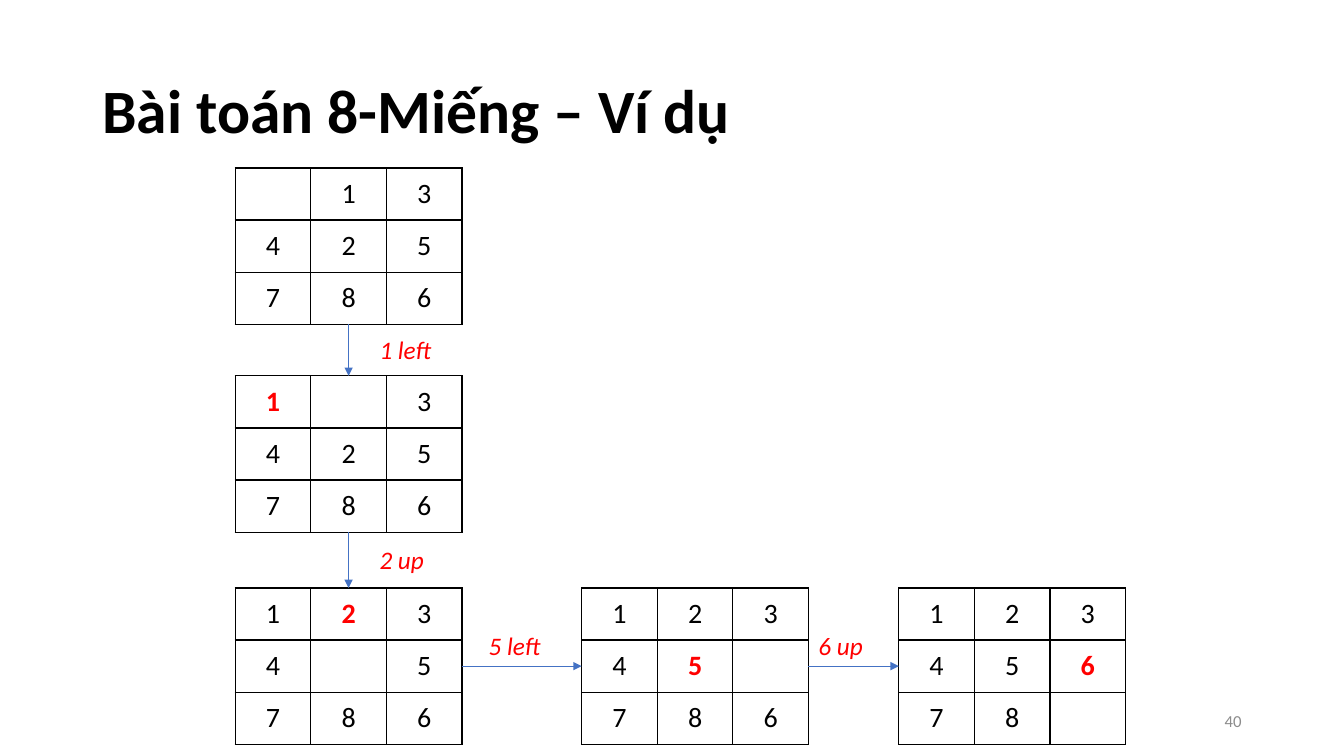
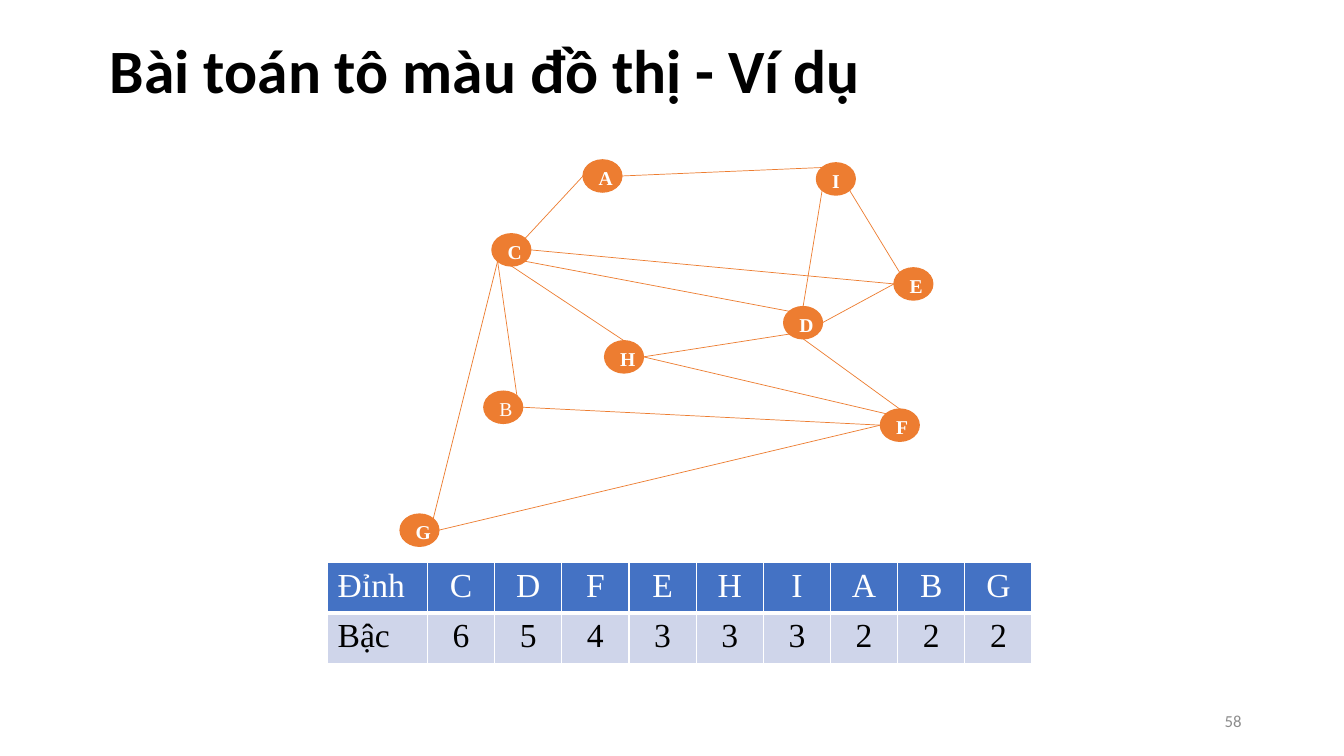
from pptx import Presentation
from pptx.dml import color
from pptx.enum import shapes, text
from pptx.oxml import parse_xml
from pptx.oxml import ns
from pptx.util import Pt

BLACK, WHITE, RED, GRAY = "000000", "FFFFFF", "FF0000", "8C8C8C"
BLUE, PALE, ORANGE = "4472C4", "CFD5EA", "ED7D31"
SANS, SERIF = "Calibri", "Times New Roman"
LEFT, MID, RIGHT = text.PP_ALIGN.LEFT, text.PP_ALIGN.CENTER, text.PP_ALIGN.RIGHT
CENTER = text.MSO_ANCHOR.MIDDLE

# Board: left, top, tiles row by row (a dot is the gap), moved tile
BOARDS = [
    (168, 120, ".13425786", ""),
    (168, 268.5, "1.3425786", "1"),
    (168, 420, "1234.5786", "2"),
    (415.5, 420, "12345.786", "5"),
    (642, 420, "12345678.", "6"),
]
# Move between successive boards: label, left, top, site it leaves, site it meets
MOVES = [
    ("1 left", 264, 235.5, 2, 0),
    ("2 up", 264, 385, 2, 0),
    ("5 left", 342, 446.5, 3, 1),
    ("6 up", 577.5, 446.5, 3, 1),
]
TILE_W, TILE_H = 54, 37.2

NODES = {
    "C": (351.4, 167), "B": (345.6, 279.4), "A": (416.5, 114.2),
    "D": (559.8, 219), "E": (638.6, 191.3), "F": (628.9, 292.2),
    "G": (285.8, 367.2), "H": (431.9, 243.4), "I": (583.2, 116.3),
}
NODE_W, NODE_H = 27.7, 23
# Edge: node and compass side, at both ends
EDGES = [
    "H e F nw", "B e F w", "D s F n", "F w G e", "D sw H e",
    "C sw B ne", "C ne A w", "C se D nw", "C e E w", "C sw G ne",
    "C s H n", "A e I nw", "E nw I se", "E w D e", "I sw D n",
]
DEGREES = [("Đỉnh", "Bậc"), ("C", "6"), ("D", "5"), ("F", "4"), ("E", "3"),
           ("H", "3"), ("I", "3"), ("A", "2"), ("B", "2"), ("G", "2")]


def rgb(code):
    return color.RGBColor.from_string(code)


def write(par, words, size, code, font=SANS, bold=False, italic=False, align=LEFT):
    par.alignment = align
    run = par.add_run()
    run.text = words
    face = run.font
    face.name, face.size, face.bold, face.italic = font, Pt(size), bold, italic
    face.color.rgb = rgb(code)


def label(slide, words, box, size, code, **style):
    frame = slide.shapes.add_textbox(*map(Pt, box)).text_frame
    frame.word_wrap = False
    frame.vertical_anchor = CENTER
    write(frame.paragraphs[0], words, size, code, **style)


def add_slide(deck, title, left, top, number):
    slide = deck.slides.add_slide(deck.slide_layouts[5])
    head = slide.shapes.title
    head.left, head.top, head.width, head.height = map(Pt, (left, top, 828, 104.4))
    frame = head.text_frame
    frame.auto_size = text.MSO_AUTO_SIZE.NONE
    frame.vertical_anchor = CENTER
    par = frame.paragraphs[0]
    par.line_spacing = 0.9
    write(par, title, 44, BLACK, bold=True)
    label(slide, number, (678, 500.5, 216, 28.8), 12, GRAY, align=RIGHT)
    return slide


def line(parent, start, end, code, arrow=False):
    link = parent.add_connector(shapes.MSO_CONNECTOR.STRAIGHT, *map(Pt, (*start, *end)))
    link.line.color.rgb = rgb(code)
    link.line.width = Pt(0.5)
    props = link.element.spPr
    props.append(parse_xml(f"<a:effectLst {ns.nsdecls('a')}/>"))
    if arrow:
        tip = f'<a:tailEnd {ns.nsdecls("a")} type="triangle"/>'
        props.find(ns.qn("a:ln")).append(parse_xml(tip))
    return link


def edge(cell, code, base=1):
    """Draw 1 pt borders round a cell, the bottom one base pt wide."""
    props = cell._tc.get_or_add_tcPr()
    for side, width in zip("LRTB", (1, 1, 1, base)):
        props.append(parse_xml(
            f'<a:ln{side} {ns.nsdecls("a")} w="{Pt(width)}"><a:solidFill>'
            f'<a:srgbClr val="{code}"/></a:solidFill></a:ln{side}>'))


def add_grid(slide, left, top, widths, heights):
    """Add a plain table with the given column widths and row heights."""
    box = map(Pt, (left, top, sum(widths), sum(heights)))
    frame = slide.shapes.add_table(len(heights), len(widths), *box)
    grid = frame.table
    grid.first_row = grid.horz_banding = False
    for col, width in zip(grid.columns, widths):
        col.width = Pt(width)
    for row, height in zip(grid.rows, heights):
        row.height = Pt(height)
    return frame


def add_board(slide, left, top, tiles, moved):
    frame = add_grid(slide, left, top, [TILE_W] * 3, [TILE_H] * 3)
    for tile, cell in zip(tiles, frame.table.iter_cells()):
        edge(cell, BLACK)
        cell.fill.background()
        cell.vertical_anchor = CENTER
        if tile != ".":
            hot = tile == moved
            write(cell.text_frame.paragraphs[0], tile, 20,
                  RED if hot else BLACK, bold=hot, align=MID)
    return frame


def add_puzzle(slide):
    frames = [add_board(slide, *board) for board in BOARDS]
    for begin, end, move in zip(frames, frames[1:], MOVES):
        words, left, top, out, into = move
        link = line(slide.shapes, (0, 0), (0, 0), BLUE, arrow=True)
        link.begin_connect(begin, out)
        link.end_connect(end, into)
        width = 54 if "left" in words else 46.8
        label(slide, words, (left, top, width, 28.8), 18, RED, italic=True)


def add_node(parent, name):
    left, top = NODES[name]
    oval = parent.add_shape(shapes.MSO_SHAPE.OVAL, *map(Pt, (left, top, NODE_W, NODE_H)))
    oval.shadow.inherit = False
    oval.fill.solid()
    oval.fill.fore_color.rgb = oval.line.color.rgb = rgb(ORANGE)
    oval.line.width = Pt(1)
    frame = oval.text_frame
    frame.vertical_anchor = CENTER
    par = frame.paragraphs[0]
    par.line_spacing, par.space_after = 1.15, Pt(10)
    write(par, name, 14, WHITE, SERIF, bold=name != "B", align=MID)


def site(name, side):
    """Find the point on a node's outline at a compass side."""
    left, top = NODES[name]
    across = ("e" in side) - ("w" in side)
    down = ("s" in side) - ("n" in side)
    reach = 0.5 if len(side) == 1 else 0.5 ** 1.5
    return (left + NODE_W * (0.5 + across * reach),
            top + NODE_H * (0.5 + down * reach))


def add_graph(slide):
    parent = slide.shapes.add_group_shape().shapes
    for name in NODES:
        add_node(parent, name)
    for item in EDGES:
        first, out, last, into = item.split()
        line(parent, site(first, out), site(last, into), ORANGE)


def add_degrees(slide):
    widths = [71.3] + [48] * (len(DEGREES) - 1)
    grid = add_grid(slide, 234, 401.8, widths, [34, 34]).table
    looks = [(BLUE, WHITE, 3), (PALE, BLACK, 1)]
    for col, pair in enumerate(DEGREES):
        for row, (words, (back, ink, base)) in enumerate(zip(pair, looks)):
            cell = grid.cell(row, col)
            edge(cell, WHITE, base)
            cell.fill.solid()
            cell.fill.fore_color.rgb = rgb(back)
            write(cell.text_frame.paragraphs[0], words, 24, ink, SERIF,
                  align=MID if col else LEFT)


def main():
    deck = Presentation()
    deck.slide_width, deck.slide_height = Pt(960), Pt(540)
    add_puzzle(add_slide(deck, "Bài toán 8-Miếng – Ví dụ", 66, 28.8, "40"))
    slide = add_slide(deck, "Bài toán tô màu đồ thị - Ví dụ", 71.3, 0, "58")
    add_graph(slide)
    add_degrees(slide)
    deck.save("out.pptx")


if __name__ == "__main__":
    main()
